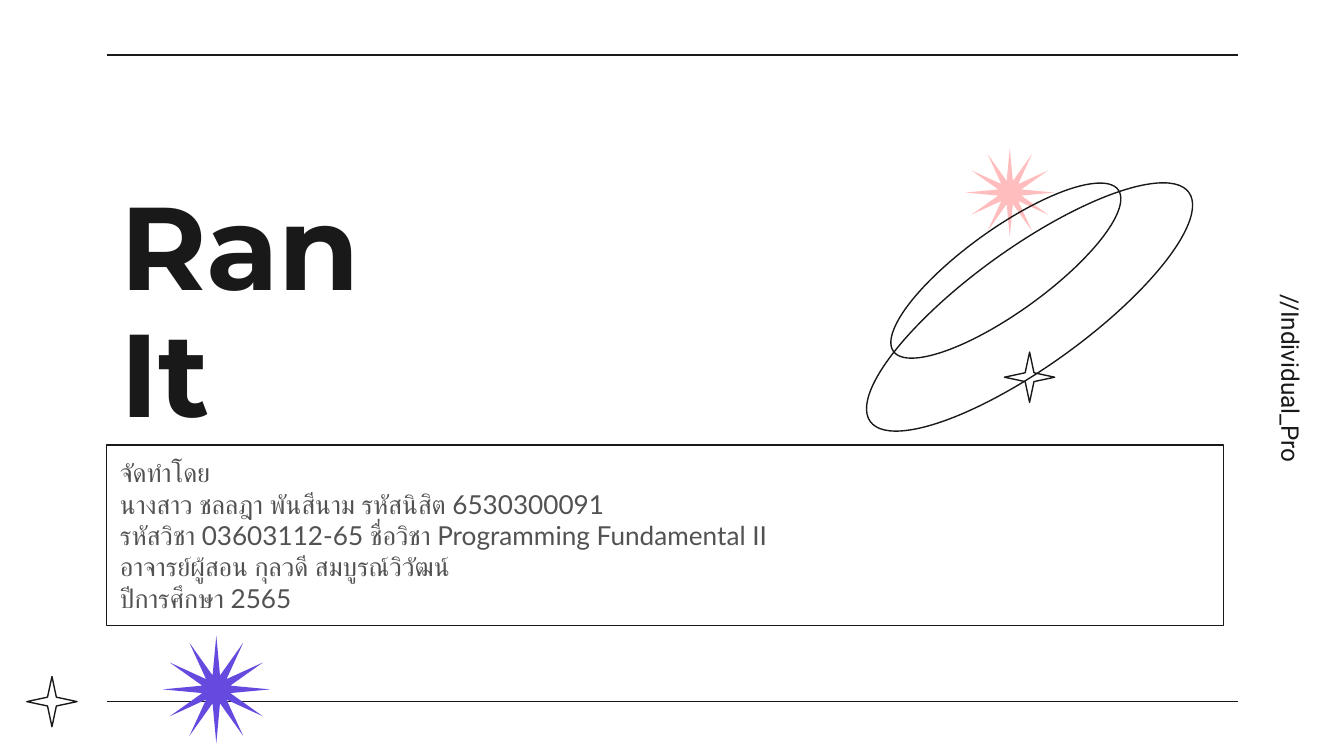
from lxml import etree
from pptx import Presentation
from pptx.dml.color import RGBColor
from pptx.enum.shapes import MSO_CONNECTOR, MSO_SHAPE
from pptx.enum.text import MSO_ANCHOR, MSO_AUTO_SIZE, PP_ALIGN
from pptx.oxml.ns import qn
from pptx.util import Inches, Pt

STRAIGHT = MSO_CONNECTOR.STRAIGHT
RECTANGLE, OVAL = MSO_SHAPE.RECTANGLE, MSO_SHAPE.OVAL
STAR_4, STAR_12 = MSO_SHAPE.STAR_4_POINT, MSO_SHAPE.STAR_12_POINT
MIDDLE, TOP = MSO_ANCHOR.MIDDLE, MSO_ANCHOR.TOP
LEFT, CENTER = PP_ALIGN.LEFT, PP_ALIGN.CENTER
NO_FIT = MSO_AUTO_SIZE.NONE

COLORS = {"ink": "191919", "body": "525252", "pink": "FFBDBD", "violet": "664ADF"}

prs = Presentation()
prs.slide_width = Inches(10)
prs.slide_height = prs.slide_width * 9 // 16
COLUMN = prs.slide_width / 100
slide = prs.slides.add_slide(prs.slide_layouts[5])
shapes = slide.shapes


def grid(*columns):
    return [round(count * COLUMN) for count in columns]


def write(frame, paragraphs, font, size, color, align=LEFT, anchor=MIDDLE, bold=False):
    frame.word_wrap = True
    frame.auto_size = NO_FIT
    frame.vertical_anchor = anchor
    frame.margin_left = frame.margin_right = frame.margin_top = frame.margin_bottom = Inches(0.1)
    for index, lines in enumerate(paragraphs):
        paragraph = frame.add_paragraph() if index else frame.paragraphs[0]
        paragraph.alignment = align
        for number, line in enumerate(lines.split("\n")):
            if number:
                paragraph.add_line_break()
            run = paragraph.add_run()
            run.text = line
            run.font.name, run.font.size, run.font.bold = font, Pt(size), bold
            run.font.color.rgb = RGBColor.from_string(COLORS[color])


for rule_top in (4.08, 52.2):
    rule = shapes.add_connector(STRAIGHT, *grid(92.1, rule_top, 7.94, rule_top))
    rule.line.color.rgb = RGBColor.from_string(COLORS["ink"])
    rule.line.width = Pt(0.75)
    etree.SubElement(rule._element.spPr, qn("a:effectLst"))

title = shapes.title
title.left, title.top, title.width, title.height = grid(7.94, 11.6, 63.5, 23.8)
write(title.text_frame, ["Ran\nIt"], "Montserrat", 63, "ink", bold=True)
title.text_frame.paragraphs[0].line_spacing = 0.9

ornaments = [
    (STAR_4, (2, 50.34, 3.74, 3.74), 0, 0.125, None),
    (RECTANGLE, (7.94, 33.1, 83.1, 13.43), 0, None, None),
    (STAR_12, (71.84, 11.03, 6.6, 6.6), 0, 0.135, "pink"),
    (STAR_12, (12.1, 47.3, 8, 8), 0, 0.135, "violet"),
    (OVAL, (71.74, 9.84, 6.2, 20.6), 54.3, None, None),
    (OVAL, (72.2, 8.24, 8.8, 29.2), 54.3, None, None),
    (STAR_4, (74.74, 26.2, 3.74, 3.74), 0, 0.125, None),
]
for kind, box, angle, sharpness, color in ornaments:
    ornament = shapes.add_shape(kind, *grid(*box))
    ornament.shadow.inherit = False
    ornament.rotation = angle
    if sharpness:
        ornament.adjustments[0] = sharpness
    if color:
        ornament.fill.solid()
        ornament.fill.fore_color.rgb = RGBColor.from_string(COLORS[color])
        ornament.line.fill.background()
    else:
        ornament.fill.background()
        ornament.line.color.rgb = RGBColor.from_string(COLORS["ink"])
        ornament.line.width = Pt(0.75)
    if kind == RECTANGLE:
        credits = ornament

write(credits.text_frame, [
    "จัดทำโดย",
    "นางสาว ชลลฎา พันสีนาม รหัสนิสิต 6530300091",
    "รหัสวิชา 03603112-65 ชื่อวิชา Programming Fundamental II",
    "อาจารย์ผู้สอน กุลวดี สมบูรณ์วิวัฒน์",
    "ปีการศึกษา 2565",
], "Lato", 14, "body")

side_label = shapes.add_textbox(*grid(79.64, 26.04, 32.8, 4.2))
side_label.rotation = 90
write(side_label.text_frame, ["//Individual_Pro"], "Roboto", 13, "ink", align=CENTER, anchor=TOP)

prs.save("out.pptx")
